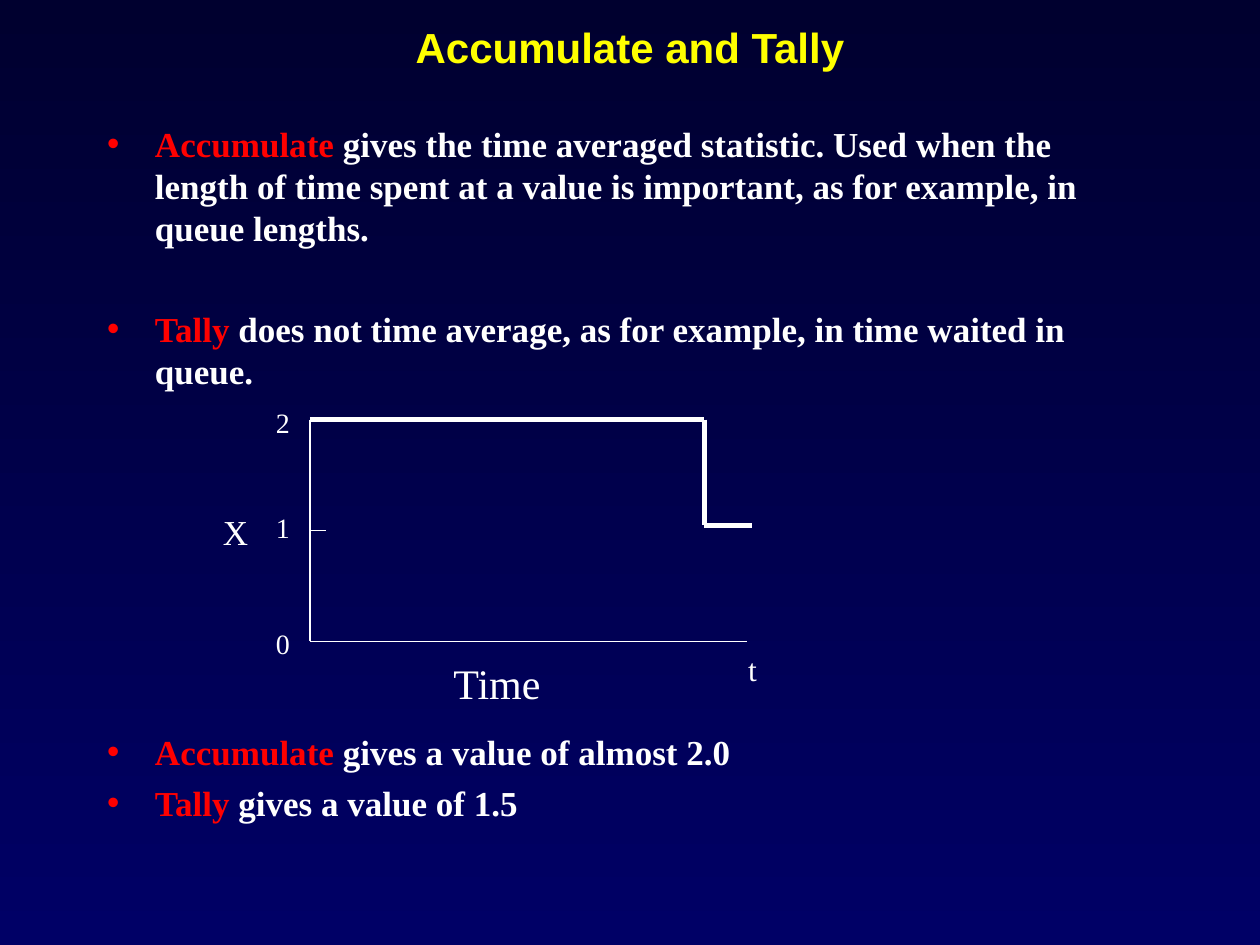
from dataclasses import dataclass

from lxml.etree import SubElement
from pptx import Presentation
from pptx.dml.color import RGBColor
from pptx.enum.shapes import MSO_CONNECTOR
from pptx.enum.text import MSO_ANCHOR, MSO_AUTO_SIZE, PP_ALIGN
from pptx.oxml.ns import qn
from pptx.util import Inches, Pt


@dataclass(frozen=True)
class Theme:
    background_top: str = "00002F"
    background_bottom: str = "000066"
    title: str = "FFFF00"
    text: str = "FFFFFF"
    accent: str = "FF0000"
    title_font: str = "Arial"
    body_font: str = "Times New Roman"
    title_size: int = 24
    body_size: int = 20
    time_size: int = 24
    end_size: int = 18
    tick_size: int = 16
    thin: float = 0.75
    thick: float = 3


THEME = Theme()
TWO_CONTENT = 3
INDENT = 0.38


def place(shape, box):
    shape.left, shape.top, shape.width, shape.height = map(Inches, box)


def add_run(paragraph, text, size, color, font=THEME.body_font, bold=False):
    run = paragraph.add_run()
    run.text = text
    run.font.name = font
    run.font.size = Pt(size)
    run.font.bold = bold
    run.font.color.rgb = RGBColor.from_string(color)


def paint_background(slide):
    fill = slide.background.fill
    fill.gradient()
    fill.gradient_angle = 270
    colors = (THEME.background_top, THEME.background_bottom)
    for stop, color in zip(fill.gradient_stops, colors):
        stop.color.rgb = RGBColor.from_string(color)


def fill_title(title, box, text):
    place(title, box)
    frame = title.text_frame
    frame.auto_size = MSO_AUTO_SIZE.NONE
    frame.vertical_anchor = MSO_ANCHOR.MIDDLE
    paragraph = frame.paragraphs[0]
    paragraph.alignment = PP_ALIGN.CENTER
    add_run(paragraph, text, THEME.title_size, THEME.title, THEME.title_font, True)


def set_bullet(paragraph):
    properties = paragraph._p.get_or_add_pPr()
    properties.set("marL", str(Inches(INDENT)))
    properties.set("indent", str(-Inches(INDENT)))
    color = SubElement(properties, qn("a:buClr"))
    SubElement(color, qn("a:srgbClr"), val=THEME.accent)
    SubElement(properties, qn("a:buChar"), char="•")


def fill_list(body, box, items, gap):
    """Fill a bulleted list of (keyword, rest) items, gap points apart."""
    place(body, box)
    frame = body.text_frame
    frame.auto_size = MSO_AUTO_SIZE.NONE
    for index, (keyword, rest) in enumerate(items):
        paragraph = frame.add_paragraph() if index else frame.paragraphs[0]
        paragraph.space_before = Pt(gap if index else 5)
        set_bullet(paragraph)
        add_run(paragraph, keyword, THEME.body_size, THEME.accent, bold=True)
        add_run(paragraph, rest, THEME.body_size, THEME.text, bold=True)


def add_line(shapes, start, end, weight):
    line = shapes.add_connector(
        MSO_CONNECTOR.STRAIGHT, *map(Inches, (*start, *end)))
    line.line.color.rgb = RGBColor.from_string(THEME.text)
    line.line.width = Pt(weight)
    SubElement(line._element.spPr, qn("a:effectLst"))


def add_label(shapes, box, text, size):
    label = shapes.add_textbox(*map(Inches, box))
    label.text_frame.word_wrap = False
    add_run(label.text_frame.paragraphs[0], text, size, THEME.text)


def add_step_diagram(slide, box):
    """Draw X against time: 2 for most of the span, then 1."""
    left, top, width, height = box
    right, bottom, middle = left + width, top + height, top + height / 2
    shapes = slide.shapes.add_group_shape().shapes

    add_line(shapes, (left, top), (left, bottom), THEME.thin)
    add_line(shapes, (left, bottom), (right, bottom), THEME.thin)
    for tick_y in (middle, top):
        add_line(shapes, (left, tick_y), (left + 0.13, tick_y), THEME.thin)

    drop_x, low_y = left + 3.13, top + 0.84
    steps = [(left, top), (drop_x, top), (drop_x, low_y), (right + 0.04, low_y)]
    for start, end in zip(steps, steps[1:]):
        add_line(shapes, start, end, THEME.thick)

    for text, offset in (("2", -0.16), ("1", 0.67), ("0", 1.59)):
        add_label(shapes, (left - 0.37, top + offset, 0.31, 0.37),
                  text, THEME.tick_size)
    add_label(shapes, (left - 0.79, top + 0.67, 0.4, 0.44), "X", THEME.body_size)
    add_label(shapes, (left + 1.04, bottom + 0.08, 0.9, 0.5),
              "Time", THEME.time_size)
    add_label(shapes, (right - 0.09, bottom + 0.02, 0.27, 0.4),
              "t", THEME.end_size)


def main():
    presentation = Presentation()
    presentation.slide_width, presentation.slide_height = Inches(10), Inches(7.5)
    slide = presentation.slides.add_slide(presentation.slide_layouts[TWO_CONTENT])
    paint_background(slide)
    title, definitions, results = slide.placeholders
    fill_title(title, (0, 0.08, 10, 0.58), "Accumulate and Tally")
    fill_list(definitions, (0.75, 0.92, 8.5, 2.25), [
        ("Accumulate", " gives the time averaged statistic. Used when the length "
         "of time spent at a value is important, as for example, in queue lengths."),
        ("Tally", " does not time average, as for example, in time waited in queue."),
    ], gap=34)
    add_step_diagram(slide, (2.46, 3.33, 3.47, 1.76))
    fill_list(results, (0.75, 5.75, 8.5, 1.33), [
        ("Accumulate", " gives a value of almost 2.0"),
        ("Tally", " gives a value of 1.5"),
    ], gap=5)
    presentation.save("out.pptx")


if __name__ == "__main__":
    main()
